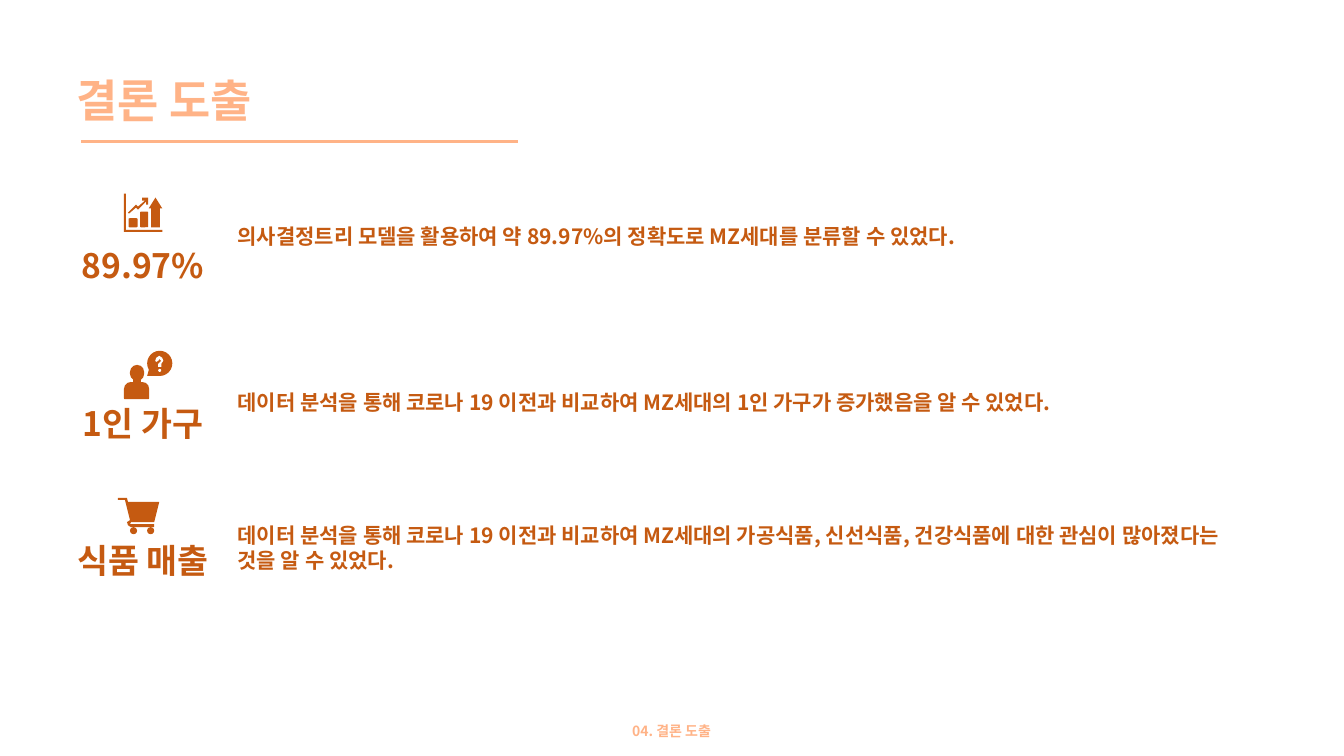
from lxml import etree
from pptx import Presentation, util as u
from pptx.dml.color import RGBColor
from pptx.enum import shapes, text
from pptx.oxml.ns import qn

FONT = "Noto Sans CJK KR"
PEACH, RUST, WHITE = "FFB387", "C55A11", "FFFFFF"
ICON_UNIT = 0.0254
BAR, OVAL, BODY, ARROW = (
    shapes.MSO_SHAPE.ROUNDED_RECTANGLE, shapes.MSO_SHAPE.OVAL,
    shapes.MSO_SHAPE.ROUND_2_SAME_RECTANGLE, shapes.MSO_SHAPE.UP_ARROW)

TITLE = "결론 도출"
FOOTER = "04. 결론 도출"

CHART_ICON = [
    ([(128, 212), (135, 206), (137, 208), (145, 200), (145, 203), (147, 203), (147, 196),
      (141, 196), (141, 199), (144, 199), (137, 205), (135, 203), (127, 211)], RUST),
    ((BAR, 127.5, 216.5, 9, 9, [0.12]), RUST),
    ((BAR, 139, 210, 8, 15.5, [0.12]), RUST),
    ((ARROW, 147.5, 196, 13.5, 29.5, [0.65, 0.8]), RUST),
    ([(123, 192), (125, 192), (125, 228), (161, 228), (161, 230), (123, 230)], RUST),
]
PERSON_ICON = [
    ((BAR, 129, 362, 14, 16, [0.5]), RUST),
    ([(132, 376), (140, 376), (140, 380), (132, 380)], RUST),
    ((BODY, 123, 379, 25, 17, [0.4, 0.06]), RUST),
    ((OVAL, 146, 348, 25, 25, []), RUST),
    ([(148, 366), (146, 373), (158, 373)], RUST),
    ([(154, 358), (155, 355), (158, 353), (161, 355), (162, 358), (160, 361), (160, 364),
      (157, 364), (157, 361), (160, 358), (158, 356), (157, 358), (155, 359)], WHITE),
    ((OVAL, 157, 366, 3, 3, []), WHITE),
]
CART_ICON = [
    ([(117, 494), (126, 494), (127, 498), (158, 498), (153, 518), (130, 518), (129, 520),
      (153, 520), (153, 523), (130, 523), (127, 521), (126, 518), (129, 516), (124, 496),
      (117, 496)], RUST),
    ((OVAL, 129, 523, 7, 7, []), RUST),
    ((OVAL, 146, 523, 7, 7, []), RUST),
]

FINDINGS = [
    (CHART_ICON, "89.97%", 6.05, 5.51, 22.99,
     "의사결정트리 모델을 활용하여 약 89.97%의 정확도로 MZ세대를 분류할 수 있었다."),
    (PERSON_ICON, "1인 가구", 10.03, 9.7, 25.43,
     "데이터 분석을 통해 코로나 19 이전과 비교하여 MZ세대의 1인 가구가 증가했음을 알 수 있었다."),
    (CART_ICON, "식품 매출", 13.49, 13.03, 25.43,
     "데이터 분석을 통해 코로나 19 이전과 비교하여 MZ세대의 가공식품, 신선식품, "
     "건강식품에 대한 관심이 많아졌다는 것을 알 수 있었다."),
]


def rgb(color):
    return RGBColor.from_string(color)


def add_text(s, words, x, y, w, h, size, color, align=text.PP_ALIGN.LEFT,
             anchor=text.MSO_ANCHOR.TOP):
    tf = s.shapes.add_textbox(u.Cm(x), u.Cm(y), u.Cm(w), u.Cm(h)).text_frame
    tf.word_wrap = True
    tf.vertical_anchor = anchor
    p = tf.paragraphs[0]
    p.text = words
    p.alignment = align
    r = p.runs[0]
    r.font.size, r.font.bold, r.font.name = u.Pt(size), True, FONT
    r.font.color.rgb = rgb(color)
    etree.SubElement(r.font._element, qn("a:ea")).set("typeface", FONT)


def add_icon(s, parts):
    group = s.shapes.add_group_shape()
    for outline, color in parts:
        if isinstance(outline, list):
            pen = group.shapes.build_freeform(*outline[0], scale=u.Cm(ICON_UNIT))
            pen.add_line_segments(outline[1:], close=True)
            sp = pen.convert_to_shape()
        else:
            kind, *box, adjustments = outline
            sp = group.shapes.add_shape(kind, *[u.Cm(v * ICON_UNIT) for v in box])
            for i, value in enumerate(adjustments):
                sp.adjustments[i] = value
        sp.shadow.inherit = False
        sp.fill.solid()
        sp.fill.fore_color.rgb = rgb(color)
        sp.line.fill.background()


def add_rule(s, x1, x2, y):
    line = s.shapes.add_connector(shapes.MSO_CONNECTOR.STRAIGHT,
                                  u.Cm(x1), u.Cm(y), u.Cm(x2), u.Cm(y))
    line.line.color.rgb = rgb(PEACH)
    line.line.width = u.Pt(2.25)
    etree.SubElement(line._element.spPr, qn("a:effectLst"))


def main():
    """Build the conclusions slide with three findings."""
    prs = Presentation()
    prs.slide_width, prs.slide_height = u.Cm(33.87), u.Cm(19.05)
    s = prs.slides.add_slide(prs.slide_layouts[6])
    center = text.PP_ALIGN.CENTER
    add_text(s, TITLE, 1.68, 1.7, 29.46, 1.63, 32, PEACH)
    add_text(s, FOOTER, 11.86, 18.08, 10.13, 0.69, 10, PEACH, center, text.MSO_ANCHOR.MIDDLE)
    add_rule(s, 2.05, 13.05, 3.56)
    for icon, label, label_y, body_y, body_w, body in FINDINGS:
        add_icon(s, icon)
        add_text(s, label, 1.15, label_y, 4.9, 1.27, 24, RUST, center)
        add_text(s, body, 5.74, body_y, body_w, 0.89, 15, RUST)
    prs.save("out.pptx")


if __name__ == "__main__":
    main()
